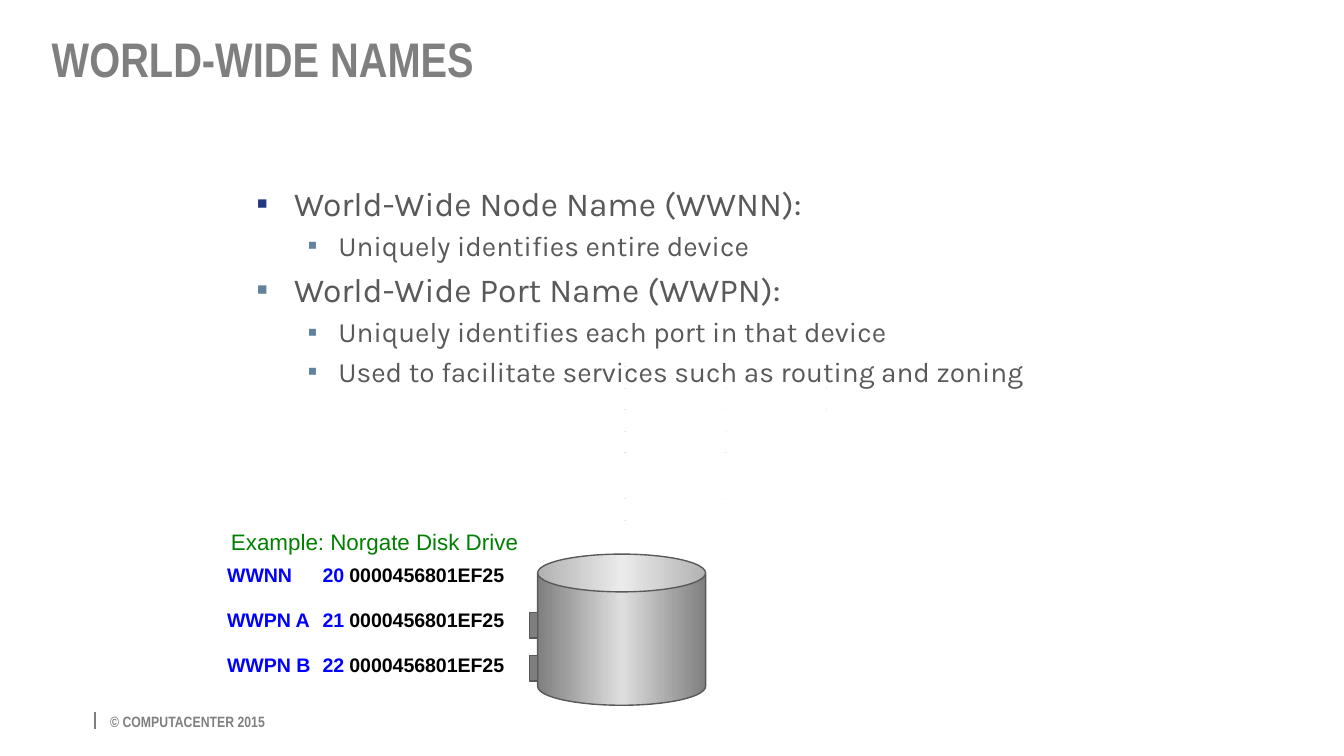
import copy

import pptx
import pptx.dml.color
import pptx.enum.shapes
import pptx.enum.text
import pptx.oxml
import pptx.oxml.ns
import pptx.util

SLIDE_WIDTH = pptx.util.Inches(10)
SLIDE_HEIGHT = SLIDE_WIDTH * 9 // 16
SHAPES = pptx.enum.shapes.MSO_SHAPE
COLORS = {
    "grey": "7F7F7F", "light": "DEDEDE", "text": "58595B", "navy": "23387F",
    "steel": "61829D", "blue": "0000FF", "black": "000000", "green": "008000",
}
NO_INSETS = (0, 0)
NARROW_INSETS = (0.07, 0.04)
WIDE_INSETS = (0.1, 0.05)

# Level, bullet colour, wording
BULLETS = [
    (0, "navy", "World-Wide Node Name (WWNN):"),
    (1, "steel", "Uniquely identifies entire device"),
    (0, "steel", "World-Wide Port Name (WWPN):"),
    (1, "steel", "Uniquely identifies each port in that device"),
    (1, "steel", "Used to facilitate services such as routing and zoning"),
]
# Size in points, left indent and hanging indent in inches
LEVELS = [(18, 0.28, -0.28), (15, 0.61, -0.23)]
NAMES = [("WWNN", "20", 4.9), ("WWPN A", "21", 6.3), ("WWPN B", "22", 6.3)]
DEVICE_ID = "0000456801EF25"

# Speck rows in each column, as multiples of the row step
SPECK_COLUMNS = [(0, 1.3, 2.3, 3.3, 4.3, 5.3, 7.45, 8.45),
                 (2.3, 3.3, 4.3, 5.3, 7.45),
                 (2.3, 3.3)]


def rgb(color):
    return pptx.dml.color.RGBColor.from_string(COLORS[color])


def across(percent):
    return round(SLIDE_WIDTH * percent / 100)


def down(percent):
    return round(SLIDE_HEIGHT * percent / 100)


def area(left, top, width, height):
    """Turn percentages of the slide into a position and a size."""
    return across(left), down(top), across(width), down(height)


def add_run(paragraph, wording, size, color, font="Arial", bold=False):
    run = paragraph.add_run()
    run.text = wording
    run.font.size = pptx.util.Pt(size)
    run.font.name = font
    run.font.bold = bold
    run.font.color.rgb = rgb(color)


def add_frame(shapes, place, insets, wrap=True, grow=False):
    frame = shapes.add_textbox(*place).text_frame
    frame.margin_left = frame.margin_right = pptx.util.Inches(insets[0])
    frame.margin_top = frame.margin_bottom = pptx.util.Inches(insets[1])
    frame.word_wrap = wrap
    if grow:
        frame.auto_size = pptx.enum.text.MSO_AUTO_SIZE.SHAPE_TO_FIT_TEXT
    return frame


def add_label(shapes, place, wording, color, size=10.5, bold=True, insets=NO_INSETS):
    frame = add_frame(shapes, place, insets, wrap=False, grow=True)
    add_run(frame.paragraphs[0], wording, size, color, bold=bold)


def add_solid(shapes, kind, place, fill, outline=None):
    solid = shapes.add_shape(kind, *place)
    solid.shadow.inherit = False
    solid.fill.solid()
    solid.fill.fore_color.rgb = rgb(fill)
    if outline:
        solid.line.color.rgb = rgb(outline)
        solid.line.width = pptx.util.Pt(0.75)
    else:
        solid.line.fill.background()
    return solid


def add_title(shapes):
    heading = add_frame(shapes, area(3.15, 4, 85.9, 20.8), NARROW_INSETS).paragraphs[0]
    heading.line_spacing = 0.9
    add_run(heading, "WORLD-WIDE NAMES", 26, "grey", "Arial Narrow", True)


def add_footer(shapes):
    rule = shapes.add_connector(pptx.enum.shapes.MSO_CONNECTOR.STRAIGHT,
                                across(7.1), down(94.2), across(7.1), down(96.5))
    rule.line.color.rgb = rgb("grey")
    rule.line.width = pptx.util.Pt(1)
    rule._element.spPr.append(pptx.oxml.parse_xml(
        f'<a:effectLst {pptx.oxml.ns.nsdecls("a")}/>'))
    frame = add_frame(shapes, area(7.5, 93.5, 81.6, 3.7), NARROW_INSETS, grow=True)
    add_run(frame.paragraphs[0], "© COMPUTACENTER 2015", 8, "grey", "Arial Narrow", True)


def set_bullet(paragraph, color, indent, hanging):
    properties = paragraph._p.get_or_add_pPr()
    properties.set("marL", str(pptx.util.Inches(indent)))
    properties.set("indent", str(pptx.util.Inches(hanging)))
    namespace = pptx.oxml.ns.nsdecls("a")
    for element in (
        f'<a:buClr {namespace}><a:srgbClr val="{COLORS[color]}"/></a:buClr>',
        f'<a:buFont {namespace} typeface="Arial"/>',
        f'<a:buChar {namespace} char="▪"/>',
    ):
        properties.append(pptx.oxml.parse_xml(element))


def add_bullets(shapes):
    frame = add_frame(shapes, area(18.1, 23.3, 61.2, 46.6), WIDE_INSETS)
    for number, (level, color, wording) in enumerate(BULLETS):
        size, indent, hanging = LEVELS[level]
        paragraph = frame.add_paragraph() if number else frame.paragraphs[0]
        paragraph.level = level
        set_bullet(paragraph, color, indent, hanging)
        if number:
            paragraph.space_before = pptx.util.Pt(size * 0.2)
        add_run(paragraph, wording, size, "text", "Karla")


def add_specks(shapes):
    """Draw the faint specks below the bullets."""
    size = pptx.util.Pt(0.2)
    places = [(across(27.8), down(44.8))]
    for column, rows in enumerate(SPECK_COLUMNS):
        places += [(across(46.5 + 7.5 * column), down(44.8 + 2.84 * row)) for row in rows]
    for left, top in places:
        add_solid(shapes, SHAPES.RECTANGLE, (left, top, size, size), "black")


def add_disk(shapes):
    disk = add_solid(shapes, SHAPES.CAN, area(40, 73.3, 12.5, 20), "grey", "text")
    disk.adjustments[0] = 0.25
    disk.fill.gradient()
    disk.fill.gradient_angle = 0
    stop_list = disk._element.spPr.find(".//" + pptx.oxml.ns.qn("a:gsLst"))
    stop_list.append(copy.deepcopy(stop_list[0]))
    shades = [(0, "grey"), (0.5, "light"), (1, "grey")]
    for stop, (position, color) in zip(disk.fill.gradient_stops, shades):
        stop.position = position
        stop.color.rgb = rgb(color)
    for top in (81, 86.7):
        add_solid(shapes, SHAPES.RECTANGLE, area(39.4, top, 0.6, 3.4), "grey", "text")


def add_names(shapes):
    add_label(shapes, area(16.2, 69, 23.8, 5.3), "Example: Norgate Disk Drive",
              "green", size=12, bold=False, insets=WIDE_INSETS)
    for row, (name, prefix, width) in enumerate(NAMES):
        top = 74.45 + 5.96 * row
        add_label(shapes, area(16.9, top, width, 3.2), name, "blue")
        address = shapes.add_group_shape().shapes
        add_label(address, area(24, top, 1.7, 3.2), prefix, "blue")
        add_label(address, area(26, top, 11.8, 3.2), DEVICE_ID, "black")


def main():
    presentation = pptx.Presentation()
    presentation.slide_width = SLIDE_WIDTH
    presentation.slide_height = SLIDE_HEIGHT
    shapes = presentation.slides.add_slide(presentation.slide_layouts[6]).shapes
    add_footer(shapes)
    add_specks(shapes)
    add_bullets(shapes)
    add_disk(shapes)
    add_names(shapes)
    add_title(shapes)
    presentation.save("out.pptx")


if __name__ == "__main__":
    main()
